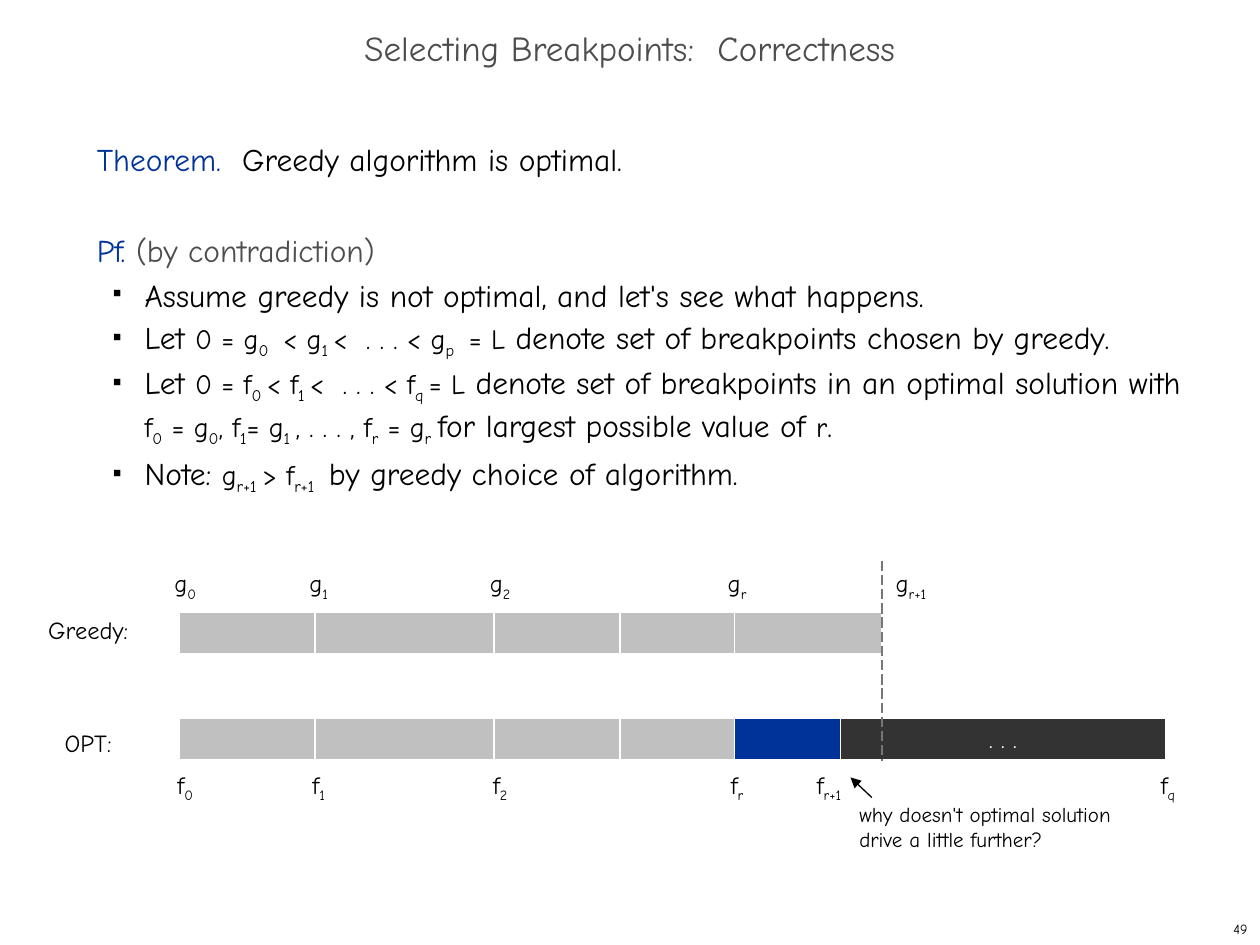
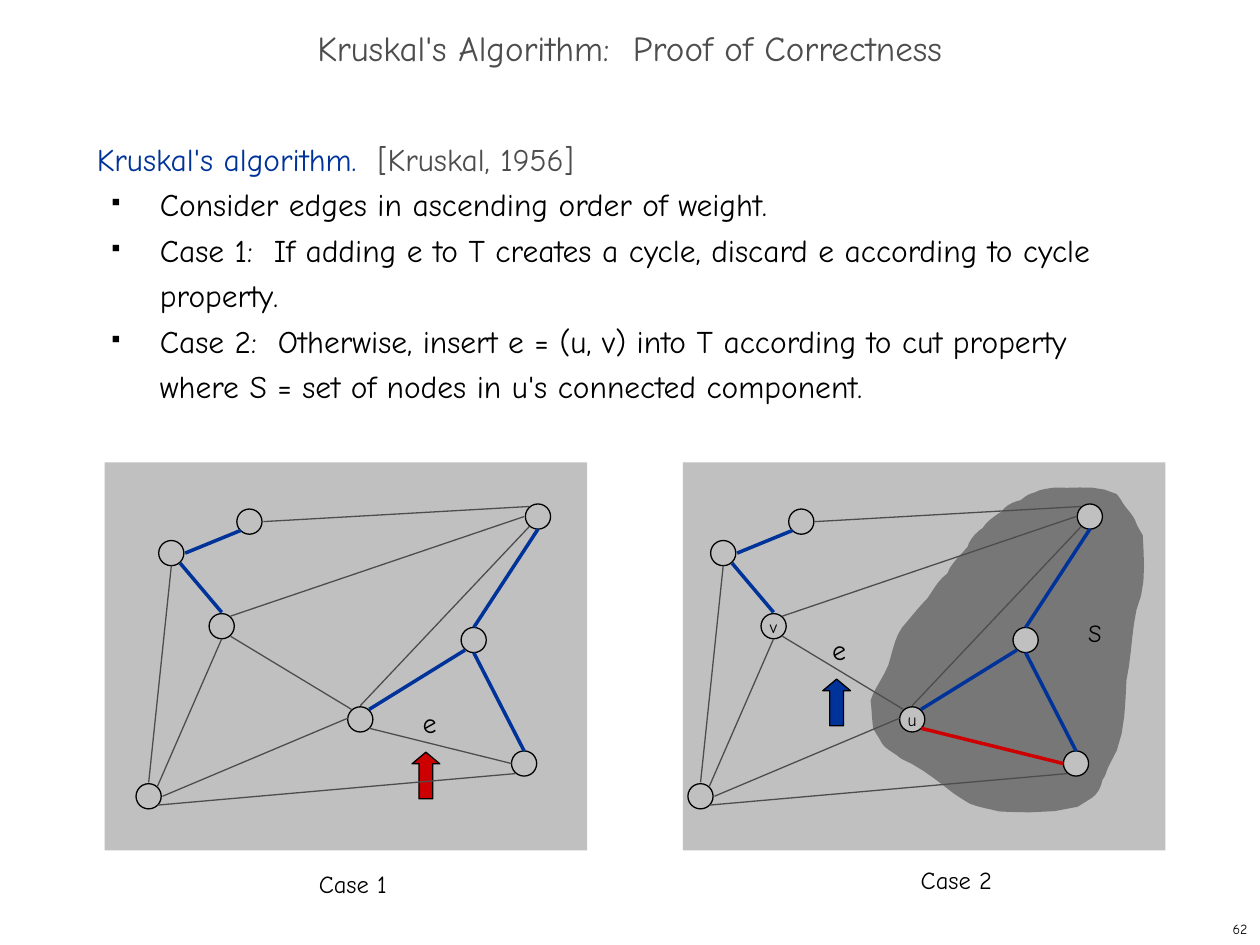
"""Build two lecture slides on correctness proofs for greedy algorithms."""
import pptx
import pptx.dml.color
import pptx.enum.dml
import pptx.enum.shapes
import pptx.enum.text
import pptx.oxml.ns
import pptx.util
from lxml import etree

Inches = pptx.util.Inches
Pt = pptx.util.Pt
RGBColor = pptx.dml.color.RGBColor
SHAPE = pptx.enum.shapes.MSO_SHAPE
ALIGN = pptx.enum.text.PP_ALIGN
ANCHOR = pptx.enum.text.MSO_ANCHOR
qn = pptx.oxml.ns.qn

FONT = "Comic Neue"
BLACK = RGBColor(0x00, 0x00, 0x00)
WHITE = RGBColor(0xFF, 0xFF, 0xFF)
BLUE = RGBColor(0x00, 0x33, 0x99)
RED = RGBColor(0xCC, 0x00, 0x00)
CHARCOAL = RGBColor(0x33, 0x33, 0x33)
DARK_GRAY = RGBColor(0x4D, 0x4D, 0x4D)
MID_GRAY = RGBColor(0x77, 0x77, 0x77)
LIGHT_GRAY = RGBColor(0xC0, 0xC0, 0xC0)


def write(shape, paragraphs, size, colour=BLACK, align=ALIGN.CENTER, anchor=ANCHOR.MIDDLE, wrap=False):
    """Fill a shape with paragraphs of (text, colour, size) runs; bars enclose subscripts."""
    frame = shape.text_frame
    frame.word_wrap = wrap
    frame.vertical_anchor = anchor
    for index, runs in enumerate(paragraphs):
        paragraph = frame.add_paragraph() if index else frame.paragraphs[0]
        paragraph.alignment = align
        paragraph.font.name = FONT
        paragraph.font.size = Pt(size)
        paragraph.font.color.rgb = colour
        for text, run_colour, run_size in runs:
            for position, piece in enumerate(text.split("|")):
                if not piece:
                    continue
                run = paragraph.add_run()
                run.text = piece
                if run_colour != colour:
                    run.font.color.rgb = run_colour
                if run_size != size:
                    run.font.size = Pt(run_size)
                if position % 2:
                    run._r.get_or_add_rPr().set("baseline", "-25000")
    return frame


def draw_line(slide, start, end, colour, width=0.75):
    """Draw a straight line without a shadow."""
    ends = [Inches(value) for value in (*start, *end)]
    line = slide.shapes.add_connector(pptx.enum.shapes.MSO_CONNECTOR.STRAIGHT, *ends)
    line.line.color.rgb = colour
    line.line.width = Pt(width)
    etree.SubElement(line._element.spPr, qn("a:effectLst"))
    return line


presentation = pptx.Presentation()
presentation.slide_width = Inches(10)
presentation.slide_height = Inches(7.5)

breakpoints_proof = [
    [("Theorem.  ", BLUE, 18), ("Greedy algorithm is optimal.", BLACK, 18)],
    [("Pf. ", BLUE, 18), ("(by contradiction)", DARK_GRAY, 18)],
    [("Assume greedy is not optimal, and let's see what happens.", BLACK, 18)],
    [("Let ", BLACK, 18), ("0 = g|0 | < g|1 |<  . . . < g|p | = L", BLACK, 16),
     (" denote set of breakpoints chosen by greedy.", BLACK, 18)],
    [("Let ", BLACK, 18), ("0 = f|0 |< f|1 |<  . . . < f|q |= L", BLACK, 16),
     (" denote set of breakpoints in an optimal solution with ", BLACK, 18),
     ("f|0| = g|0|, f|1|= g|1 |, . . . , f|r| = g|r|", BLACK, 16), ("| |", BLACK, 20),
     ("for largest possible value of ", BLACK, 18), ("r", BLACK, 16), (".", BLACK, 18)],
    [("Note: ", BLACK, 18), ("g|r+1 |> f|r+1 | ", BLACK, 16),
     ("by greedy choice of algorithm.", BLACK, 18)],
]
kruskal_proof = [
    [("Kruskal's algorithm.  ", BLUE, 18), ("[Kruskal, 1956]", DARK_GRAY, 18)],
    [("Consider edges in ascending order of weight.", BLACK, 18)],
    [("Case 1:  If adding e to T creates a cycle, discard e according to cycle property.", BLACK, 18)],
    [("Case 2:  Otherwise, insert e = (u, v) into T according to cut property "
      "where S = set of nodes in u's connected component.", BLACK, 18)],
]
pages = [
    ("Selecting Breakpoints:  Correctness", "49", 8.83, breakpoints_proof, 2, 0.38, -0.25),
    ("Kruskal's Algorithm:  Proof of Correctness", "62", 8.58, kruskal_proof, 1, 0.5, -0.38),
]
for title, number, body_width, proof, headings, margin, indent in pages:
    slide = presentation.slides.add_slide(presentation.slide_layouts[6])
    page_number = slide.shapes.add_textbox(Inches(7.92), Inches(7.25), Inches(2.08), Inches(0.25))
    write(page_number, [[(number, BLACK, 8)]], 8, align=ALIGN.RIGHT)
    heading = slide.shapes.add_textbox(0, Inches(0.17), Inches(10), Inches(0.5))
    heading_frame = write(heading, [[(title, DARK_GRAY, 20)]], 20, DARK_GRAY, wrap=True)
    heading_frame.paragraphs[0].line_spacing = 0.7
    body = slide.shapes.add_textbox(Inches(0.67), Inches(1), Inches(body_width), Inches(5.92))
    body_frame = write(body, proof, 18, align=ALIGN.LEFT, anchor=ANCHOR.TOP, wrap=True)
    for index, paragraph in enumerate(body_frame.paragraphs):
        paragraph.line_spacing = Pt(26)
        if index < headings:
            paragraph.space_before = Pt(26 * index)
            continue
        properties = paragraph._p.get_or_add_pPr()
        properties.set("marL", str(Inches(margin)))
        properties.set("indent", str(Inches(indent)))
        bullet_colour = etree.Element(qn("a:buClr"))
        etree.SubElement(bullet_colour, qn("a:srgbClr"), val=str(BLACK))
        bullet_size = etree.Element(qn("a:buSzPct"), val="35000")
        bullet = etree.Element(qn("a:buChar"), char="■")
        for part in (bullet_colour, bullet_size, bullet):
            properties.find(qn("a:defRPr")).addprevious(part)

breakpoints, kruskal = presentation.slides

opt_stops = [1.42, 2.5, 3.92, 4.92, 5.83, 6.67, 9.25]
greedy_stops = opt_stops[:5] + [7]
opt_fills = [LIGHT_GRAY] * 4 + [BLUE, CHARCOAL]
for top, stops, fills in ((5.7, opt_stops, opt_fills), (4.86, greedy_stops, [LIGHT_GRAY] * 5)):
    for left, right, fill in zip(stops, stops[1:], fills):
        leg = breakpoints.shapes.add_shape(
            SHAPE.RECTANGLE, Inches(left), Inches(top), Inches(right - left), Inches(0.33))
        leg.shadow.inherit = False
        leg.fill.solid()
        leg.fill.fore_color.rgb = fill
        leg.line.color.rgb = WHITE
        leg.line.width = Pt(0.75)
        if fill == CHARCOAL:
            write(leg, [[(". . .", WHITE, 14)]], 14, WHITE)

bar_labels = [("Greedy:", 0.7, 4.83, 1), ("OPT:", 0.7, 5.73, 1)]
for letter, top, last_stops in (
        ("g", 4.48, [("r+1", 7.23)]), ("f", 6.08, [("r+1", 6.58), ("q", 9.27)])):
    shared_stops = [("0", 1.47), ("1", 2.53), ("2", 3.97), ("r", 5.85)]
    bar_labels += [(f"{letter}|{sub}|", centre, top, 0.5) for sub, centre in shared_stops + last_stops]
for text, centre, top, width in bar_labels:
    label = breakpoints.shapes.add_textbox(
        Inches(centre - width / 2), Inches(top), Inches(width), Inches(0.33))
    write(label, [[(text, BLACK, 14)]], 14)

question = breakpoints.shapes.add_textbox(Inches(6.82), Inches(6.36), Inches(2.34), Inches(0.4))
question_frame = write(
    question, [[("why doesn't optimal solution drive a little further?", BLACK, 12)]], 12,
    align=ALIGN.LEFT, anchor=ANCHOR.TOP, wrap=True)
question_frame.margin_left = question_frame.margin_right = 0
question_frame.margin_top = question_frame.margin_bottom = 0
pointer = draw_line(breakpoints, (6.92, 6.33), (6.75, 6.17), BLACK)
etree.SubElement(pointer._element.spPr.find(qn("a:ln")), qn("a:tailEnd"), type="triangle")
greedy_reach = draw_line(breakpoints, (7, 4.45), (7, 6.04), MID_GRAY)
greedy_reach.line.dash_style = pptx.enum.dml.MSO_LINE.LONG_DASH

for left in (5.42, 0.83):
    panel = kruskal.shapes.add_shape(
        SHAPE.RECTANGLE, Inches(left), Inches(3.67), Inches(3.83), Inches(3.08))
    panel.shadow.inherit = False
    panel.fill.solid()
    panel.fill.fore_color.rgb = LIGHT_GRAY
    panel.line.fill.background()

component_start = (7.05, 5.28)
component_curves = [
    ((7.08, 5.19), (7.1, 5.06), (7.16, 4.98)), ((7.23, 4.9), (7.29, 4.82), (7.36, 4.75)),
    ((7.41, 4.68), (7.44, 4.61), (7.52, 4.55)), ((7.54, 4.48), (7.63, 4.4), (7.68, 4.34)),
    ((7.69, 4.29), (7.75, 4.22), (7.8, 4.19)), ((7.83, 4.14), (7.9, 4.09), (7.95, 4.06)),
    ((7.98, 4.01), (8.05, 3.98), (8.1, 3.97)), ((8.14, 3.94), (8.16, 3.92), (8.21, 3.91)),
    ((8.26, 3.88), (8.31, 3.88), (8.37, 3.87)), ((8.54, 3.88), (8.7, 3.84), (8.86, 3.92)),
    ((8.88, 3.94), (8.9, 3.97), (8.91, 3.99)), ((8.94, 4.04), (8.98, 4.07), (9.01, 4.13)),
    ((9.02, 4.17), (9.05, 4.21), (9.07, 4.25)), ((9.08, 4.46), (9.1, 4.65), (9.02, 4.84)),
    ((8.98, 5.02), (8.98, 5.22), (8.94, 5.4)), ((8.93, 5.62), (8.93, 5.89), (8.8, 6.08)),
    ((8.78, 6.12), (8.78, 6.15), (8.75, 6.19)), ((8.74, 6.24), (8.72, 6.29), (8.67, 6.33)),
    ((8.56, 6.49), (7.96, 6.44), (7.93, 6.44)), ((7.85, 6.42), (7.78, 6.41), (7.7, 6.38)),
    ((7.65, 6.35), (7.6, 6.32), (7.56, 6.29)), ((7.43, 6.19), (7.31, 6.09), (7.15, 6.02)),
    ((7.11, 5.98), (7.03, 5.95), (7, 5.9)), ((6.98, 5.86), (6.95, 5.82), (6.93, 5.78)),
    ((6.92, 5.71), (6.92, 5.64), (6.91, 5.56)), ((6.93, 5.48), (7.01, 5.38), (7.05, 5.28)),
]
outline = []
curve_start = component_start
for first, second, curve_end in component_curves:
    for t in (0.2, 0.4, 0.6, 0.8, 1):
        outline.append([
            Inches((1 - t) ** 3 * a + 3 * (1 - t) ** 2 * t * b + 3 * (1 - t) * t ** 2 * c + t ** 3 * d)
            for a, b, c, d in zip(curve_start, first, second, curve_end)])
    curve_start = curve_end
builder = kruskal.shapes.build_freeform(*[Inches(value) for value in component_start])
builder.add_line_segments(outline, close=True)
component = builder.convert_to_shape()
component.shadow.inherit = False
component.fill.solid()
component.fill.fore_color.rgb = MID_GRAY
component.line.fill.background()

nodes = [(1.26, 4.29), (4.17, 4), (4.06, 5.96), (1.88, 4.04),
         (1.66, 4.87), (1.08, 6.22), (3.66, 4.98), (2.76, 5.61)]
tree_edges = [
    ((1.47, 4.39), (1.91, 4.21)), ((1.43, 4.47), (1.76, 4.86)), ((3.76, 4.98), (4.27, 4.2)),
    ((2.93, 5.63), (3.69, 5.16)), ((3.76, 5.18), (4.16, 5.96)),
]
other_edges = [
    ((1.36, 4.49), (1.18, 6.21)), ((1.83, 4.89), (4.16, 4.1)), ((1.83, 5.05), (2.79, 5.63)),
    ((4.2, 4.18), (2.86, 5.6)), ((1.76, 5.07), (1.25, 6.24)), ((1.29, 6.32), (2.76, 5.7)),
    ((2.09, 4.14), (4.2, 4.02)), ((1.25, 6.39), (4.09, 6.14)),
]
cycle_edge = ((2.93, 5.78), (4.06, 6.06))
cases = [
    (0, {}, (DARK_GRAY, 0.75), RED, (3.27, 5.97)),
    (4.38, {4: "v", 7: "u"}, (RED, 2), BLUE, (6.53, 5.39)),
]
for shift, names, cycle_style, arrow_colour, (arrow_left, arrow_top) in cases:
    marks = [(SHAPE.OVAL, x + shift, y, 0.2, 0.2, LIGHT_GRAY) for x, y in nodes]
    marks.append((SHAPE.UP_ARROW, arrow_left, arrow_top, 0.22, 0.37, arrow_colour))
    for index, (outline_kind, x, y, width, height, fill) in enumerate(marks):
        mark = kruskal.shapes.add_shape(
            outline_kind, Inches(x), Inches(y), Inches(width), Inches(height))
        mark.shadow.inherit = False
        mark.fill.solid()
        mark.fill.fore_color.rgb = fill
        mark.line.color.rgb = BLACK
        mark.line.width = Pt(0.75)
        if index in names:
            write(mark, [[(names[index], BLACK, 10)]], 10)
        if outline_kind == SHAPE.UP_ARROW:
            mark.adjustments[1] = 0.42
    edges = [(edge, BLUE, 2) for edge in tree_edges]
    edges += [(edge, DARK_GRAY, 0.75) for edge in other_edges]
    edges.append((cycle_edge, *cycle_style))
    for ((x1, y1), (x2, y2)), colour, width in edges:
        draw_line(kruskal, (x1 + shift, y1), (x2 + shift, y2), colour, width)

for text, left, top, width, size in (
        ("Case 1", 1.89, 6.83, 1.82, 14), ("Case 2", 6.68, 6.8, 1.82, 14),
        ("e", 3.25, 5.55, 0.32, 16), ("e", 6.5, 4.97, 0.32, 16), ("S", 8.52, 4.84, 0.34, 14)):
    caption = kruskal.shapes.add_textbox(Inches(left), Inches(top), Inches(width), Inches(0.36))
    write(caption, [[(text, BLACK, size)]], size)

presentation.save("out.pptx")
